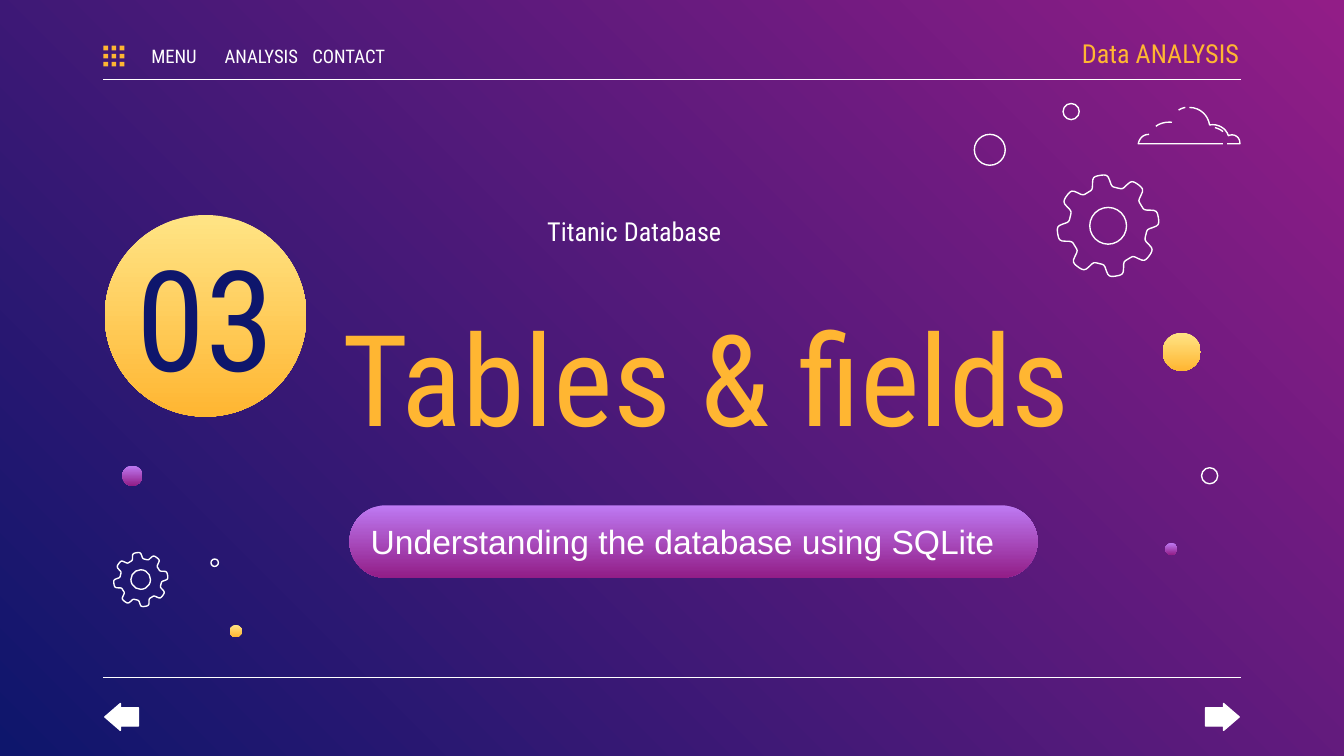
import math

import pptx
import pptx.dml.color
import pptx.enum.shapes
import pptx.enum.text
import pptx.oxml.ns
import pptx.util
from lxml import etree

SHAPE = pptx.enum.shapes.MSO_SHAPE
ALIGN = pptx.enum.text.PP_ALIGN
ANCHOR = pptx.enum.text.MSO_ANCHOR
WIDTH, HEIGHT = pptx.util.Inches(10), pptx.util.Inches(5.625)
COL = WIDTH / 100
WHITE, AMBER, NAVY = "FFFFFF", "FFB632", "0E166C"
GOLD, PURPLE, SKY = ("FFE485", AMBER), ("BE7AF3", "921D87"), ("921D87", NAVY)
CONDENSED = "Roboto Condensed"


def rgb(value):
    """Return the colour for a hex string."""
    return pptx.dml.color.RGBColor.from_string(value)


def emu(value):
    """Convert grid columns to a length."""
    return pptx.util.Emu(round(value * COL))


def inside(box, x, y, w, h):
    """Return lengths for a part placed relative to its region."""
    return [emu(v) for v in (box[0] + x, box[1] + y, w, h)]


def paint(fill, colour, angle=270):
    """Apply no fill, a solid colour or a two-stop gradient."""
    if colour is None:
        fill.background()
    elif isinstance(colour, str):
        fill.solid()
        fill.fore_color.rgb = rgb(colour)
    else:
        fill.gradient()
        fill.gradient_angle = angle
        for stop, value in zip(fill.gradient_stops, colour):
            stop.color.rgb = rgb(value)


def finish(sp, fill=None, line=None):
    """Give a shape its fill and line and take off its shadow."""
    sp.shadow.inherit = False
    paint(sp.fill, fill)
    paint(sp.line.fill, line)
    if line:
        sp.line.width = pptx.util.Pt(0.75)
    return sp


def shape(s, kind, place, fill=None, line=None, adjust=()):
    """Add a preset shape."""
    sp = finish(s.shapes.add_shape(kind, *place), fill, line)
    for i, value in enumerate(adjust):
        sp.adjustments[i] = value
    return sp


def outline(s, box, points, close=False):
    """Draw a white outline through points relative to a region."""
    pts = [inside(box, x, y, 0, 0)[:2] for x, y in points]
    builder = s.shapes.build_freeform(*pts[0])
    builder.add_line_segments(pts[1:], close=close)
    return finish(builder.convert_to_shape(), line=WHITE)


def rule(s, box, y):
    """Draw a white line across a region."""
    x, y, w, _ = inside(box, 0, y, box[2], 0)
    c = s.shapes.add_connector(pptx.enum.shapes.MSO_CONNECTOR.STRAIGHT, x, y, x + w, y)
    paint(c.line.fill, WHITE)
    c.line.width = pptx.util.Pt(0.75)
    etree.SubElement(c._element.spPr, pptx.oxml.ns.qn("a:effectLst"))


def text(s, place, words, size, colour=WHITE, name=CONDENSED, align=ALIGN.LEFT, **frame):
    """Add a one-paragraph text box."""
    tf = s.shapes.add_textbox(*place).text_frame
    margin = emu(1)
    values = dict(word_wrap=True, vertical_anchor=ANCHOR.MIDDLE, margin_left=margin,
                  margin_right=margin, margin_top=margin, margin_bottom=margin)
    for key, value in {**values, **frame}.items():
        setattr(tf, key, value)
    p = tf.paragraphs[0]
    p.alignment = align
    r = p.add_run()
    r.text = words
    for key, value in dict(size=pptx.util.Pt(size), name=name).items():
        setattr(r.font, key, value)
    r.font.color.rgb = rgb(colour)


def header(s, box):
    """Place the dot grid, menu, heading and rule."""
    for i in range(9):
        dot = inside(box, i // 3 * 0.6, 0.4 + i % 3 * 0.6, 0.35, 0.35)
        shape(s, SHAPE.RECTANGLE, dot, AMBER)
    for i, label in enumerate(("MENU", "ANALYSIS", "CONTACT")):
        text(s, inside(box, 2.4 + 6.5 * i, 0, 5.7, 2.3), label, 10, align=ALIGN.CENTER,
             margin_left=0, margin_right=0, word_wrap=False)
    text(s, inside(box, box[2] - 15.1, -0.7, 15, 3.3), "Data ANALYSIS", 14, AMBER,
         align=ALIGN.RIGHT, margin_right=0)
    rule(s, box, box[3])


def section(s, box):
    """Place the section number, title and subtitle."""
    shape(s, SHAPE.OVAL, inside(box, 0, 0.5, 15, 15), GOLD)
    text(s, inside(box, 0, 3.8, 15, 8.3), "03", 75, NAVY, align=ALIGN.CENTER)
    text(s, inside(box, 17.4, 0, 44, 7.1), "Titanic Database", 14, align=ALIGN.CENTER,
         vertical_anchor=ANCHOR.TOP, margin_top=emu(0.5))
    text(s, inside(box, 16.7, 7.6, 68.8, 9.7), "Tables & fields", 68, AMBER)
    shape(s, SHAPE.ROUNDED_RECTANGLE, inside(box, 18.2, 22.1, 51.2, 5.4), PURPLE, adjust=[0.5])
    text(s, inside(box, 18.8, 23.1, 50.1, 3.3), "Understanding the database using SQLite",
         18, name="Arial")


def gear(s, box, teeth=8, steps=192):
    """Draw an outlined gear that fills its box."""
    half = box[2] / 2
    points = []
    for i in range(steps):
        turn = math.tau * i / steps
        wave = math.tanh(2.5 * math.cos(teeth * turn))
        radius = half * (0.88 + 0.12 * wave)
        tilt = turn - math.radians(99)
        points.append((half + radius * math.cos(tilt), half + radius * math.sin(tilt)))
    outline(s, box, points, close=True)
    hole = 0.36 * box[2]
    shape(s, SHAPE.OVAL, inside(box, half - hole / 2, half - hole / 2, hole, hole), line=WHITE)


def curve(points, t):
    """Return the point at t on a Bezier curve of any degree."""
    while len(points) > 1:
        points = [(a + (c - a) * t, b + (d - b) * t) for (a, b), (c, d) in zip(points, points[1:])]
    return points[0]


def cloud(s, box):
    """Draw the cloud as open strokes."""
    strokes = (
        [[(3.8, 0), (4.6, 0), (5.2, 0.6), (5.3, 1.3)],
         [(5.3, 1.3), (5.9, 1.2), (6.5, 1.5), (6.7, 2.1)],
         [(6.7, 2.1), (7.1, 1.9), (7.6, 2.2), (7.55, 2.7)],
         [(7.55, 2.7), (6.6, 2.7)]],
        [[(3.5, 0), (3.4, 0), (3.1, 0.1), (3, 0.2)]],
        [[(6.3, 2.7), (0, 2.7)], [(0, 2.7), (0, 2.7), (0.1, 2), (0.8, 2)]],
        [[(5.7, 1.5), (5.7, 1.5), (6.1, 1.6), (6.3, 1.8)]],
        [[(2.5, 1.1), (2.5, 1.1), (1.8, 1), (1.3, 1.4)]],
    )
    for stroke in strokes:
        outline(s, box, [curve(part, i / 8) for part in stroke for i in range(9)])


def ornaments(s, box):
    """Scatter the circles, gears and cloud over a region."""
    circles = (
        (79.1, 7.7, 1.2, None), (72.5, 10, 2.3, None), (89.4, 34.8, 1.2, None),
        (15.7, 41.6, 0.55, None), (86.5, 24.75, 2.85, GOLD), (17.1, 46.5, 0.9, GOLD),
        (9.1, 34.65, 1.5, PURPLE), (86.7, 40.4, 0.9, PURPLE),
    )
    for x, y, size, fill in circles:
        place = inside(box, x, y, size, size)
        shape(s, SHAPE.OVAL, place, fill, None if fill else WHITE)
    for x, y, size in ((78.65, 13, 7.6), (8.45, 41.1, 4.05)):
        gear(s, (box[0] + x, box[1] + y, size, size))
    cloud(s, (box[0] + 84.7, box[1] + 8, 7.5, 2.7))


def footer(s, box):
    """Place the lower rule and the two arrows."""
    rule(s, box, 0)
    for kind, x in ((SHAPE.LEFT_ARROW, 0.1), (SHAPE.RIGHT_ARROW, box[2] - 2.6)):
        shape(s, kind, inside(box, x, 1.95, 2.5, 2), WHITE, WHITE, adjust=[0.68, 0.58])


def main():
    """Build the slide and save it."""
    prs = pptx.Presentation()
    prs.slide_width, prs.slide_height = WIDTH, HEIGHT
    s = prs.slides.add_slide(prs.slide_layouts[6])
    paint(s.background.fill, SKY, angle=225)
    header(s, (7.7, 3, 84.6, 2.9))
    section(s, (7.8, 15.5, 85.5, 27.5))
    ornaments(s, (0, 0, 100, 56.25))
    footer(s, (7.7, 50.4, 84.6, 4))
    prs.save("out.pptx")


if __name__ == "__main__":
    main()
